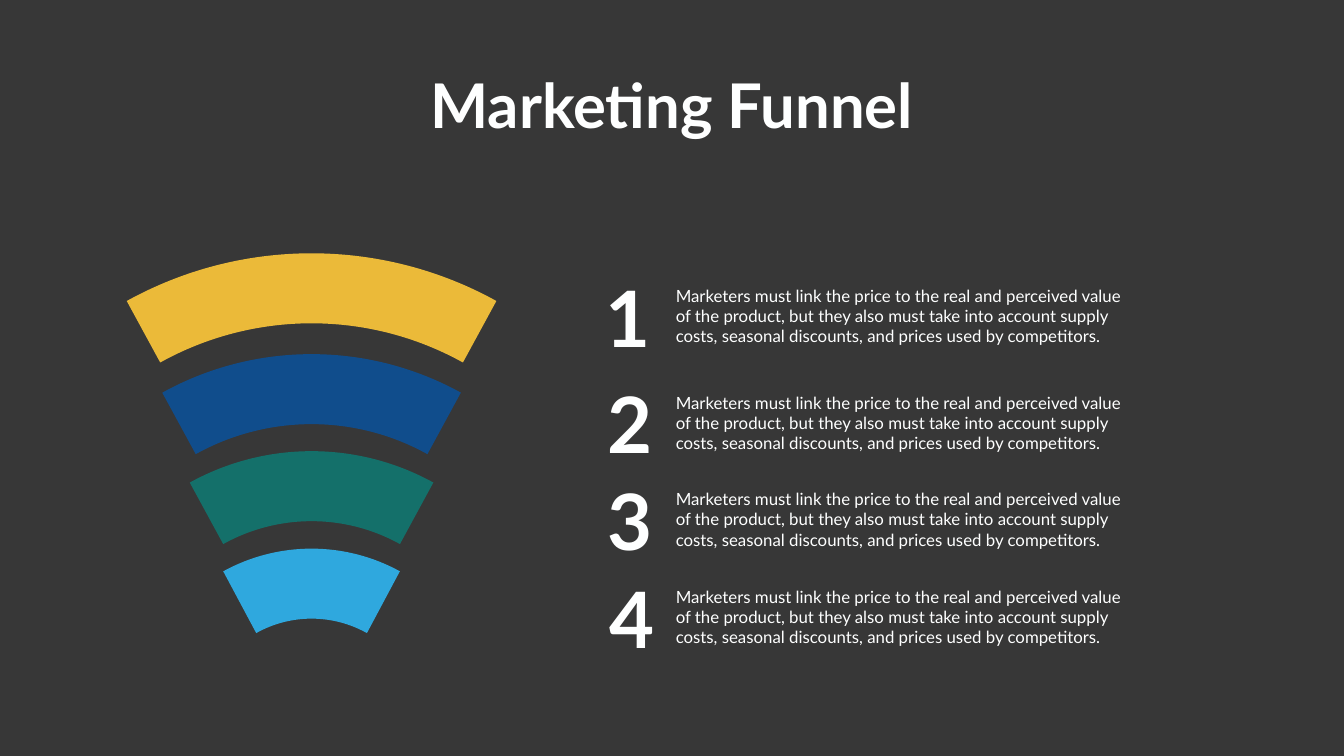
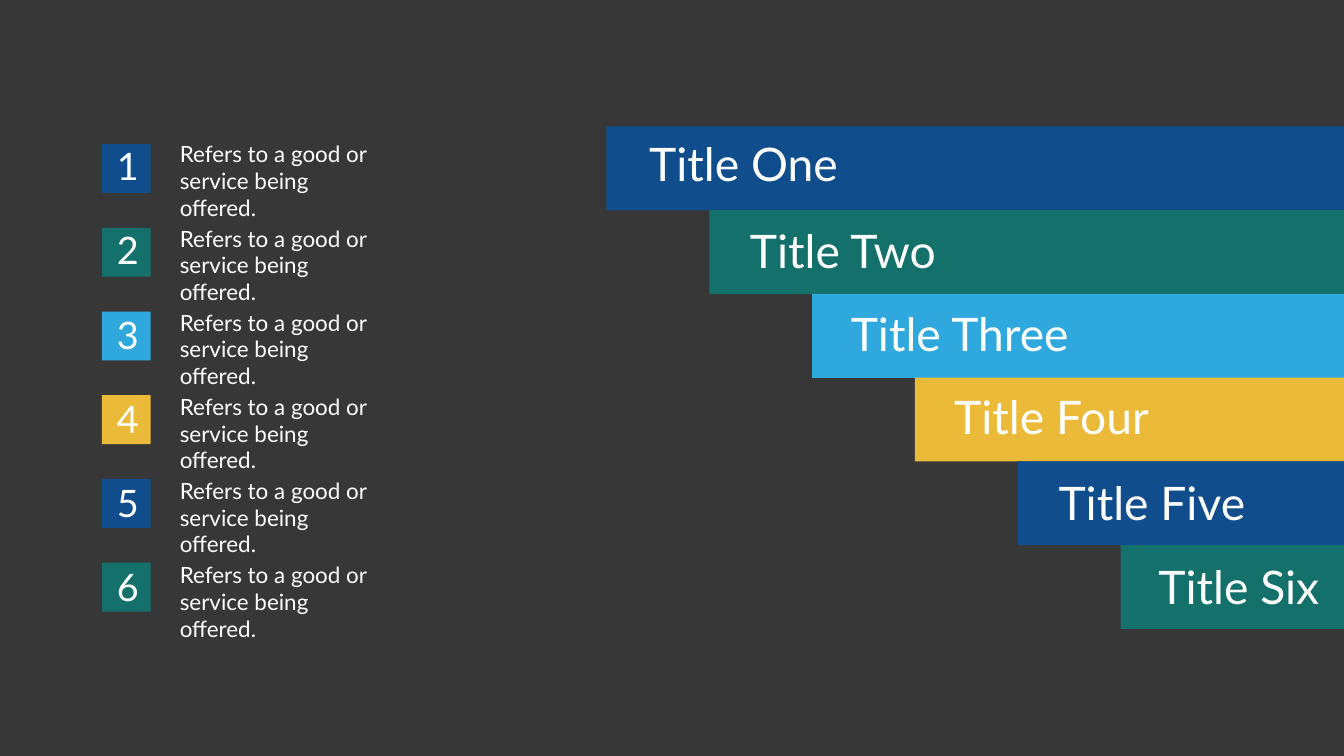
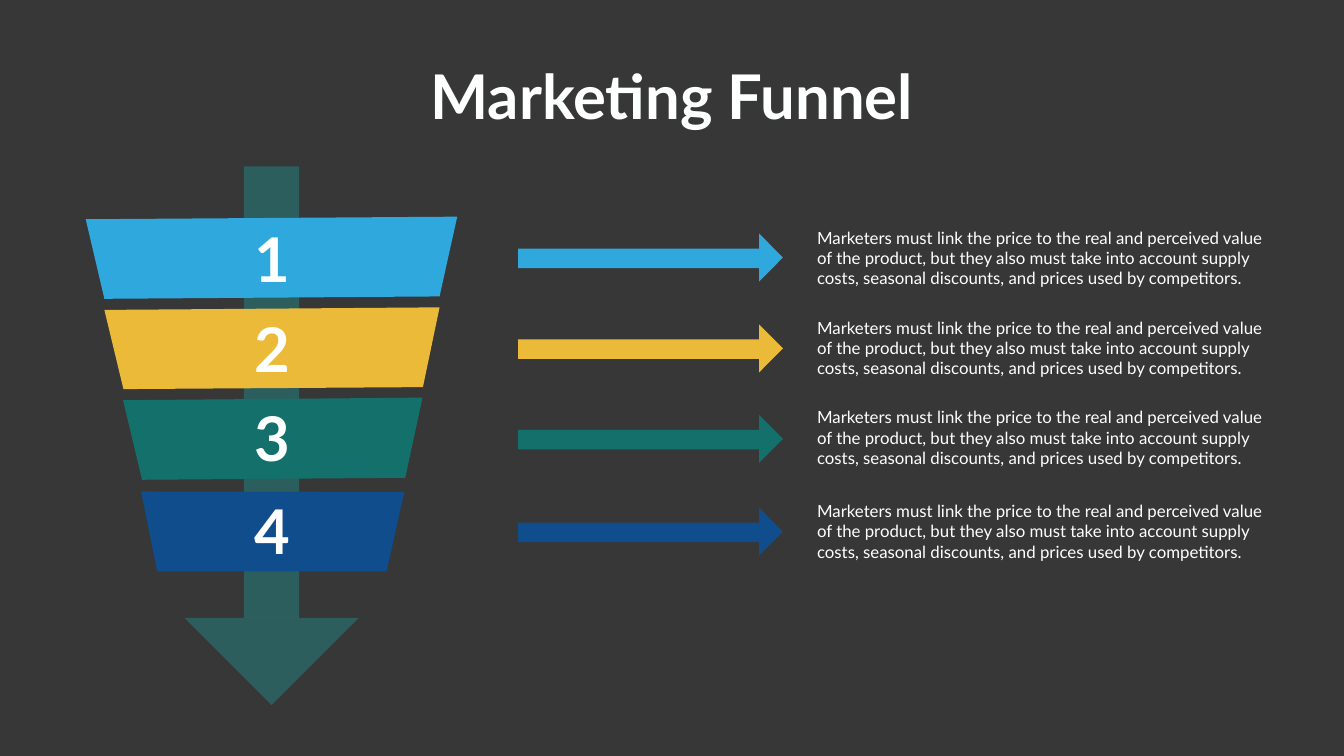
import math

import pptx
import pptx.dml.color
import pptx.enum.shapes
import pptx.enum.text
import pptx.oxml
import pptx.oxml.ns
import pptx.util

Cm = pptx.util.Cm
Pt = pptx.util.Pt
qn = pptx.oxml.ns.qn
A = pptx.oxml.ns.nsdecls("a")

WIDTH, HEIGHT = 67.72, 38.1
COLORS = {
    "background": "373737",
    "text": "FEFFFF",
    "yellow": "EBBA39",
    "blue": "104D8C",
    "green": "14706A",
    "sky": "2FA8DE",
    "cyan": "00FEFE",
}
STYLES = {
    "title": {"size": Pt(88), "bold": True},
    "big_number": {"size": Pt(111), "bold": True},
    "band_number": {"size": Pt(88), "bold": True},
    "number": {"size": Pt(54)},
    "bar_title": {"size": Pt(66)},
    "body": {"size": Pt(24)},
    "note": {"size": Pt(32)},
}
FUNNEL_TEXT = ("Marketers must link the price to the real and perceived value of the product, "
               "but they also must take into account supply costs, seasonal discounts, "
               "and prices used by competitors.")


def rgb(color):
    return pptx.dml.color.RGBColor.from_string(COLORS[color])


class Deck:
    """Holds the presentation style and the current slide."""

    def __init__(self):
        self.prs = pptx.Presentation()
        self.prs.slide_width, self.prs.slide_height = Cm(WIDTH), Cm(HEIGHT)
        self.slide = None

    def new_slide(self):
        self.slide = self.prs.slides.add_slide(self.prs.slide_layouts[6])
        fill = self.slide.background.fill
        fill.solid()
        fill.fore_color.rgb = rgb("background")

    def text(self, text, style, x, y, w, h, wrap=False, align="LEFT"):
        tf = self.slide.shapes.add_textbox(Cm(x), Cm(y), Cm(w), Cm(h)).text_frame
        tf.word_wrap = wrap
        tf.auto_size = pptx.enum.text.MSO_AUTO_SIZE.SHAPE_TO_FIT_TEXT
        tf.text = text
        for p in tf.paragraphs:
            p.alignment = getattr(pptx.enum.text.PP_ALIGN, align)
            for r in p.runs:
                for name, value in {"name": "Lato", **STYLES[style]}.items():
                    setattr(r.font, name, value)
                r.font.color.rgb = rgb("text")

    def title(self, y):
        self.text("Marketing Funnel", "title", 21.13, y, 25.43, 4.01, align="CENTER")

    def body(self, x, y):
        self.text(FUNNEL_TEXT, "body", x, y, 23.6, 3.33, wrap=True)

    def paint(self, sp, color, opacity=None):
        sp.shadow.inherit = False
        sp.fill.solid()
        sp.fill.fore_color.rgb = rgb(color)
        sp.line.fill.background()
        if opacity is not None:
            clr = sp._element.spPr.find(qn("a:solidFill")).find(qn("a:srgbClr"))
            clr.append(pptx.oxml.parse_xml(f'<a:alpha {A} val="{opacity * 1000}"/>'))

    def rectangle(self, color, x, y, w, h, opacity=None):
        sp = self.slide.shapes.add_shape(pptx.enum.shapes.MSO_SHAPE.RECTANGLE,
                                         Cm(x), Cm(y), Cm(w), Cm(h))
        self.paint(sp, color, opacity)

    def outline(self, points, close=True):
        points = [(Cm(x), Cm(y)) for x, y in points]
        builder = self.slide.shapes.build_freeform(*points[0])
        builder.add_line_segments(points[1:], close=close)
        return builder.convert_to_shape()

    def polygon(self, color, points, opacity=None):
        self.paint(self.outline(points), color, opacity)

    def arc(self, color, center_x, base_y, chord, half_angle=29):
        """Draw a thick circular arc standing on a horizontal chord."""
        half = math.radians(half_angle)
        radius = chord / 2 / math.sin(half)
        left, top = center_x - chord / 2, base_y - radius * (1 - math.cos(half))
        sp = self.outline([(left, base_y), (center_x, top), (left + chord, base_y)], close=False)

        # Bend the two straight segments into curves
        handle = 4 / 3 * math.tan(half / 4) * radius
        dx, dy = handle * math.cos(half), handle * math.sin(half)
        rise, middle = base_y - top, chord / 2
        curves = (((dx, rise - dy), (middle - handle, 0), (middle, 0)),
                  ((middle + handle, 0), (chord - dx, rise - dy), (chord, rise)))
        segments = list(sp._element.iter(qn("a:lnTo")))
        for segment, curve in zip(segments, curves):
            pts = "".join(f'<a:pt x="{Cm(x)}" y="{Cm(y)}"/>' for x, y in curve)
            bezier = pptx.oxml.parse_xml(f"<a:cubicBezTo {A}>{pts}</a:cubicBezTo>")
            segment.getparent().replace(segment, bezier)

        sp.shadow.inherit = False
        sp.fill.background()
        sp.line.color.rgb = rgb(color)
        sp.line.width = Pt(100)


def arc_funnel(deck):
    deck.new_slide()
    # Arcs: colour, height of the ends, chord
    for color, base_y, chord in (("yellow", 16.72, 16.94), ("blue", 21.34, 13.36),
                                 ("green", 25.87, 10.59), ("sky", 30.35, 7.24)):
        deck.arc(color, 15.7, base_y, chord)
    deck.title(3.25)
    # Numbered list
    rows = ((30.28, 13.45), (30.34, 18.84), (30.35, 23.7), (30.45, 28.63))
    for number, (x, y) in enumerate(rows, 1):
        deck.text(str(number), "big_number", x, y, 2.79, 5)
        deck.body(33.8, y + 0.82)


def stepped_bars(deck):
    deck.new_slide()
    # Rows: colour, then text, left, top and width of the bar title
    rows = (("blue", "Title One", 32.46, 6.68, 10.16),
            ("green", "Title Two", 37.54, 11.07, 10.29),
            ("sky", "Title Three", 42.62, 15.27, 11.76),
            ("yellow", "Title Four", 47.83, 19.43, 10.54),
            ("blue", "Title Five", 53.09, 23.77, 10.06),
            ("green", "Title Six", 58.12, 28.02, 8.71))
    for i, (color, title, title_x, title_y, title_w) in enumerate(rows):
        bar_x, row_y = 30.56 + 5.18 * i, 4.22 * i
        deck.rectangle(color, bar_x, 6.37 + row_y, WIDTH - bar_x, 4.23)
        deck.text(title, "bar_title", title_x, title_y, title_w, 3.07)
        deck.rectangle(color, 5.13, 7.26 + row_y, 2.46, 2.46)
        deck.text(str(i + 1), "number", 5.64, 7.08 + 4.24 * i, 1.63, 2.57)
        deck.text("Refers to a good or\nservice being offered.", "note",
                  8.81, 6.96 + 4.236 * i, 10.62, 2.82, wrap=True)


def arrow_funnel(deck):
    deck.new_slide()
    # Arrow behind the funnel
    deck.rectangle("cyan", 12.29, 8.38, 2.79, 22.76, opacity=20)
    deck.polygon("cyan", ((18.08, 31.14), (13.69, 35.53), (9.3, 31.14)), opacity=20)
    # Rows: colour, band corners, then tops of number, arrow and text
    rows = (
        ("sky", ((4.32, 11.05), (5.26, 15.06), (22.15, 14.94), (23.04, 10.92)),
         11, 11.77, 11.33),
        ("yellow", ((5.26, 15.62), (6.22, 19.61), (21.31, 19.51), (22.15, 15.49)),
         15.57, 16.35, 15.88),
        ("green", ((6.2, 20.17), (7.16, 24.18), (20.42, 24.08), (21.29, 20.04)),
         20.04, 20.91, 20.39),
        ("blue", ((7.11, 24.77), (7.92, 28.8), (19.48, 28.8), (20.37, 24.79)),
         24.74, 25.58, 25.12),
    )
    for number, (color, corners, number_y, arrow_y, text_y) in enumerate(rows, 1):
        deck.polygon(color, corners)
        deck.text(str(number), "band_number", 12.57, number_y, 2.34, 4.01)
        deck.rectangle(color, 26.11, arrow_y + 0.76, 12.14, 0.98)
        deck.polygon(color, ((38.25, arrow_y), (39.45, arrow_y + 1.21), (38.25, arrow_y + 2.42)))
        deck.body(40.92, text_y)
    deck.title(2.79)


def main():
    deck = Deck()
    arc_funnel(deck)
    stepped_bars(deck)
    arrow_funnel(deck)
    deck.prs.save("out.pptx")


if __name__ == "__main__":
    main()
